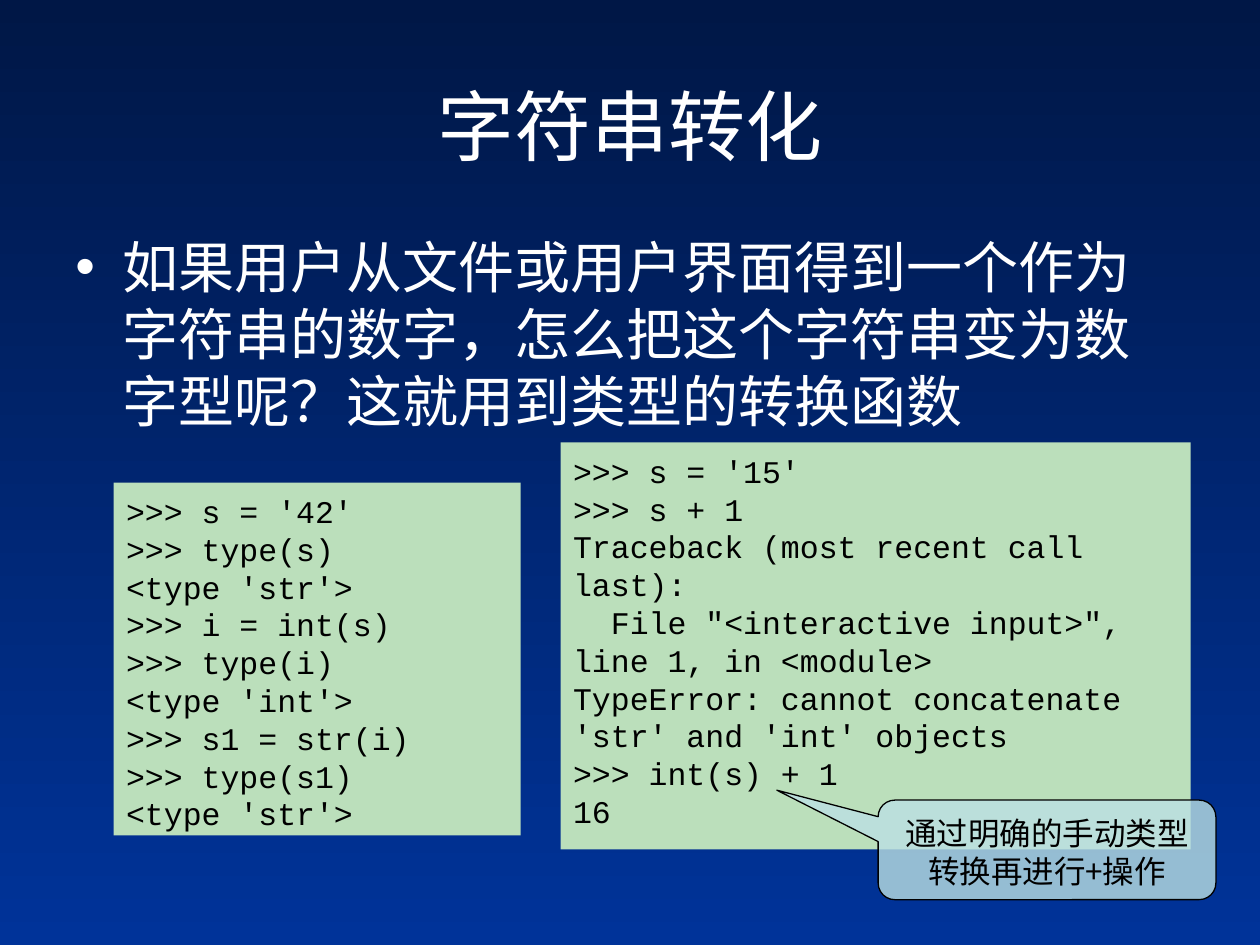
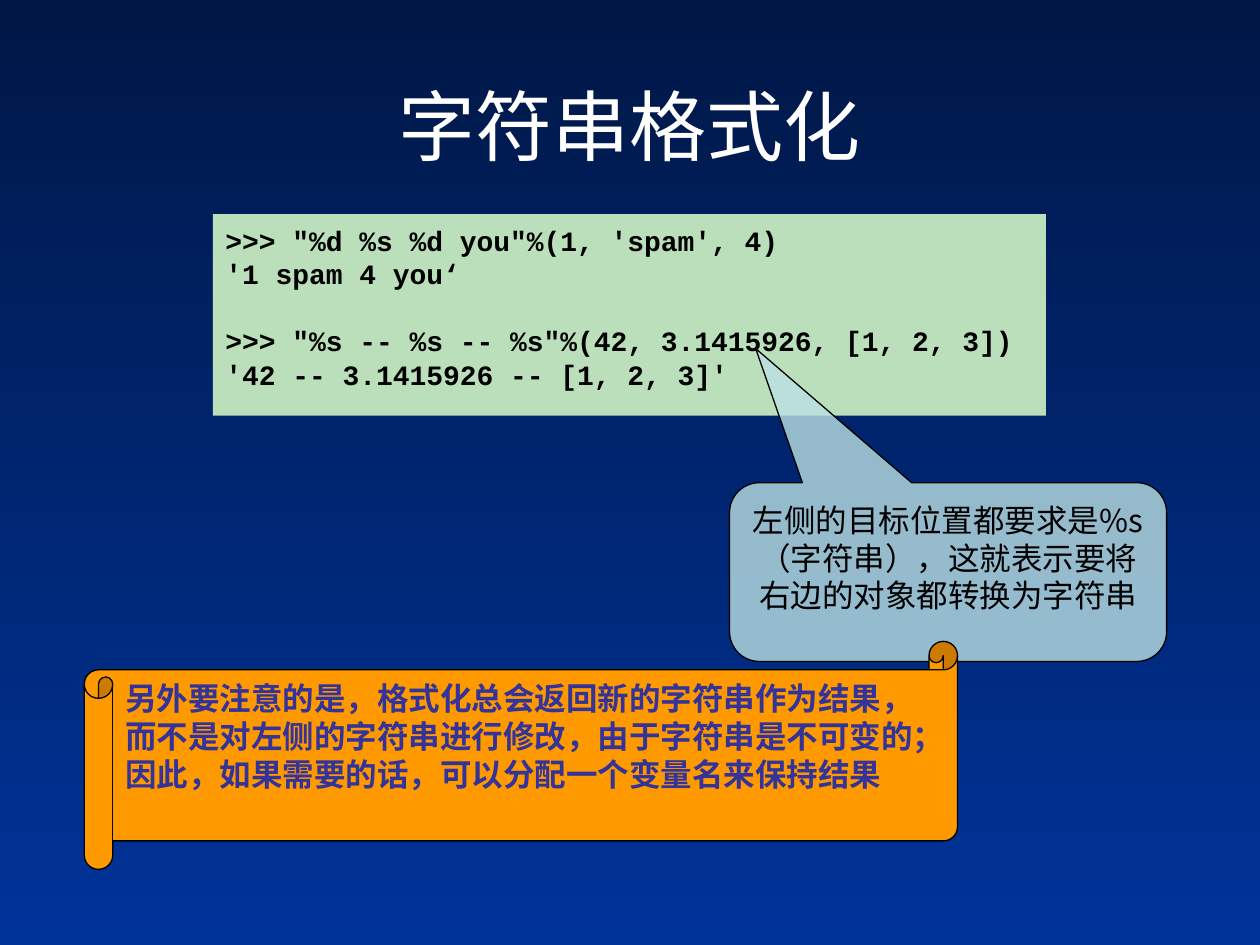
from dataclasses import dataclass

from lxml.etree import SubElement
from pptx import Presentation
from pptx.dml.color import RGBColor
from pptx.enum.shapes import MSO_SHAPE as Preset
from pptx.enum.text import MSO_ANCHOR as Anchor, PP_ALIGN as Align
from pptx.oxml.ns import qn
from pptx.util import Pt

CJK_FONT = "Noto Sans CJK SC"
CODE_FONT = "Courier New"
NIGHT, ROYAL = "001746", "003399"
WHITE, BLACK = "FFFFFF", "000000"
MINT, ICE, ORANGE, INDIGO = "BBDFBB", "BBE0E3", "FF9900", "333399"
LINE_PITCH = 1.2
BASELINE_DROP = 0.1
BULLET_INDENT = 27


@dataclass(frozen=True)
class Frame:
    left: float
    top: float
    width: float
    height: float

    def lengths(self) -> tuple:
        return tuple(Pt(side) for side in (self.left, self.top, self.width, self.height))


@dataclass(frozen=True)
class TextStyle:
    size: float
    color: str = BLACK
    font: str = CJK_FONT
    bold: bool = False
    align: Align = Align.LEFT
    anchor: Anchor = Anchor.TOP
    shadow: bool = False
    bullet: bool = False


@dataclass(frozen=True)
class Panel:
    frame: Frame
    style: TextStyle
    text: str
    preset: Preset = Preset.RECTANGLE
    fill: str = MINT
    opacity: int = 100
    outlined: bool = False
    adjustments: tuple = ()


TITLE_FRAME = Frame(36, 21.6, 648, 90)
BODY_FRAME = Frame(36, 126, 648, 356.4)
TITLE = TextStyle(44, WHITE, align=Align.CENTER, anchor=Anchor.MIDDLE, shadow=True)
BODY = TextStyle(32, WHITE, shadow=True, bullet=True)
CODE = TextStyle(18, font=CODE_FONT)
BOLD_CODE = TextStyle(16, font=CODE_FONT, bold=True)
CALLOUT = TextStyle(18, align=Align.CENTER)
NOTICE = TextStyle(18, INDIGO, "Arial", bold=True)

CONVERSION_CODE = """>>> s = '42'
>>> type(s)
<type 'str'>
>>> i = int(s)
>>> type(i)
<type 'int'>
>>> s1 = str(i)
>>> type(s1)
<type 'str'>"""

ERROR_CODE = """>>> s = '15'
>>> s + 1
Traceback (most recent call last):
  File "<interactive input>", line 1, in <module>
TypeError: cannot concatenate 'str' and 'int' objects
>>> int(s) + 1
16"""

FORMAT_CODE = """>>> "%d %s %d you"%(1, 'spam', 4)
'1 spam 4 you‘

>>> "%s -- %s -- %s"%(42, 3.1415926, [1, 2, 3])
'42 -- 3.1415926 -- [1, 2, 3]'"""


def rgb(color: str) -> RGBColor:
    return RGBColor.from_string(color)


def add_bullet(para) -> None:
    properties = para._p.get_or_add_pPr()
    properties.set("marL", str(Pt(BULLET_INDENT)))
    properties.set("indent", str(-Pt(BULLET_INDENT)))
    bullet_color = SubElement(properties, qn("a:buClr"))
    SubElement(bullet_color, qn("a:srgbClr"), val=WHITE)
    SubElement(properties, qn("a:buFont"), typeface="Arial")
    SubElement(properties, qn("a:buChar"), char="•")


def add_text_shadow(span) -> None:
    effects = SubElement(span._r.get_or_add_rPr(), qn("a:effectLst"))
    shadow = SubElement(effects, qn("a:outerShdw"), dist=str(Pt(2)), dir="2700000")
    SubElement(shadow, qn("a:srgbClr"), val=BLACK)


def write_text(box, text: str, style: TextStyle) -> None:
    """Write one paragraph per line; an empty line becomes space before the next."""
    frame = box.text_frame
    frame.word_wrap = True
    frame.vertical_anchor = style.anchor
    drop = style.size * BASELINE_DROP * (2 if style.anchor == Anchor.MIDDLE else 1)
    frame.margin_left = frame.margin_right = Pt(7.2)
    frame.margin_top, frame.margin_bottom = Pt(3.6 + drop), Pt(3.6)
    pitch = style.size * LINE_PITCH
    gap = 0
    for number, line in enumerate(text.split("\n")):
        if not line:
            gap += pitch
            continue
        para = frame.add_paragraph() if number else frame.paragraphs[0]
        para.alignment = style.align
        para.line_spacing = Pt(pitch)
        if gap:
            para.space_before = Pt(gap)
            gap = 0
        if style.bullet:
            add_bullet(para)
        span = para.add_run()
        span.text = line
        font = para.font
        font.size, font.bold, font.name = Pt(style.size), style.bold, style.font
        font.color.rgb = rgb(style.color)
        SubElement(para._p.pPr.find(qn("a:defRPr")), qn("a:ea"), typeface=CJK_FONT)
        if style.shadow:
            add_text_shadow(span)


def add_text(page, frame: Frame, text: str, style: TextStyle) -> None:
    write_text(page.shapes.add_textbox(*frame.lengths()), text, style)


def add_panel(page, panel: Panel) -> None:
    box = page.shapes.add_shape(panel.preset, *panel.frame.lengths())
    box.shadow.inherit = False
    for index, value in enumerate(panel.adjustments):
        box.adjustments[index] = value
    box.fill.solid()
    box.fill.fore_color.rgb = rgb(panel.fill)
    if panel.opacity < 100:
        color = box._element.spPr.find(qn("a:solidFill")).find(qn("a:srgbClr"))
        SubElement(color, qn("a:alpha"), val=str(panel.opacity * 1000))
    if panel.outlined:
        box.line.color.rgb = rgb(BLACK)
        box.line.width = Pt(0.75)
    else:
        box.line.fill.background()
    write_text(box, panel.text, panel.style)


def callout(frame: Frame, text: str, tip_x: float, tip_y: float) -> Panel:
    return Panel(frame, CALLOUT, text, Preset.ROUNDED_RECTANGULAR_CALLOUT, ICE,
                 opacity=80, outlined=True, adjustments=(tip_x, tip_y, 0.167))


def paint_background(deck) -> None:
    fill = deck.slide_master.background.fill
    fill.gradient()
    fill.gradient_angle = 270
    for stop, color, position in zip(fill.gradient_stops, (NIGHT, ROYAL), (0, 1)):
        stop.color.rgb = rgb(color)
        stop.position = position


def add_page(deck, title: str):
    page = deck.slides.add_slide(deck.slide_layouts[6])
    add_text(page, TITLE_FRAME, title, TITLE)
    return page


def build_conversion_page(deck) -> None:
    page = add_page(deck, "字符串转化")
    add_text(page, BODY_FRAME,
             "如果用户从文件或用户界面得到一个作为字符串的数字，"
             "怎么把这个字符串变为数字型呢？这就用到类型的转换函数", BODY)
    for panel in (
        Panel(Frame(65, 275.8, 232.6, 201.6), CODE, CONVERSION_CODE),
        Panel(Frame(320.4, 252.8, 360, 232.6), CODE, ERROR_CODE),
        callout(Frame(501.8, 457.2, 193, 56.9),
                "通过明确的手动类型转换再进行+操作", -0.8, -0.6),
    ):
        add_panel(page, panel)


def build_formatting_page(deck) -> None:
    page = add_page(deck, "字符串格式化")
    for panel in (
        Panel(Frame(121.7, 122.4, 476, 115.2), BOLD_CODE, FORMAT_CODE),
        callout(Frame(416.9, 275.8, 249.8, 102.2),
                "左侧的目标位置都要求是%s（字符串），这就表示要将右边的对象都转换为字符串",
                -0.44, -1.25),
        Panel(Frame(48.2, 366.5, 499, 130.3), NOTICE,
              "另外要注意的是，格式化总会返回新的字符串作为结果，"
              "而不是对左侧的字符串进行修改，由于字符串是不可变的；"
              "因此，如果需要的话，可以分配一个变量名来保持结果",
              Preset.HORIZONTAL_SCROLL, ORANGE, outlined=True, adjustments=(0.125,)),
    ):
        add_panel(page, panel)


def main() -> None:
    deck = Presentation()
    deck.slide_width, deck.slide_height = Pt(720), Pt(540)
    paint_background(deck)
    build_conversion_page(deck)
    build_formatting_page(deck)
    deck.save("out.pptx")


if __name__ == "__main__":
    main()
